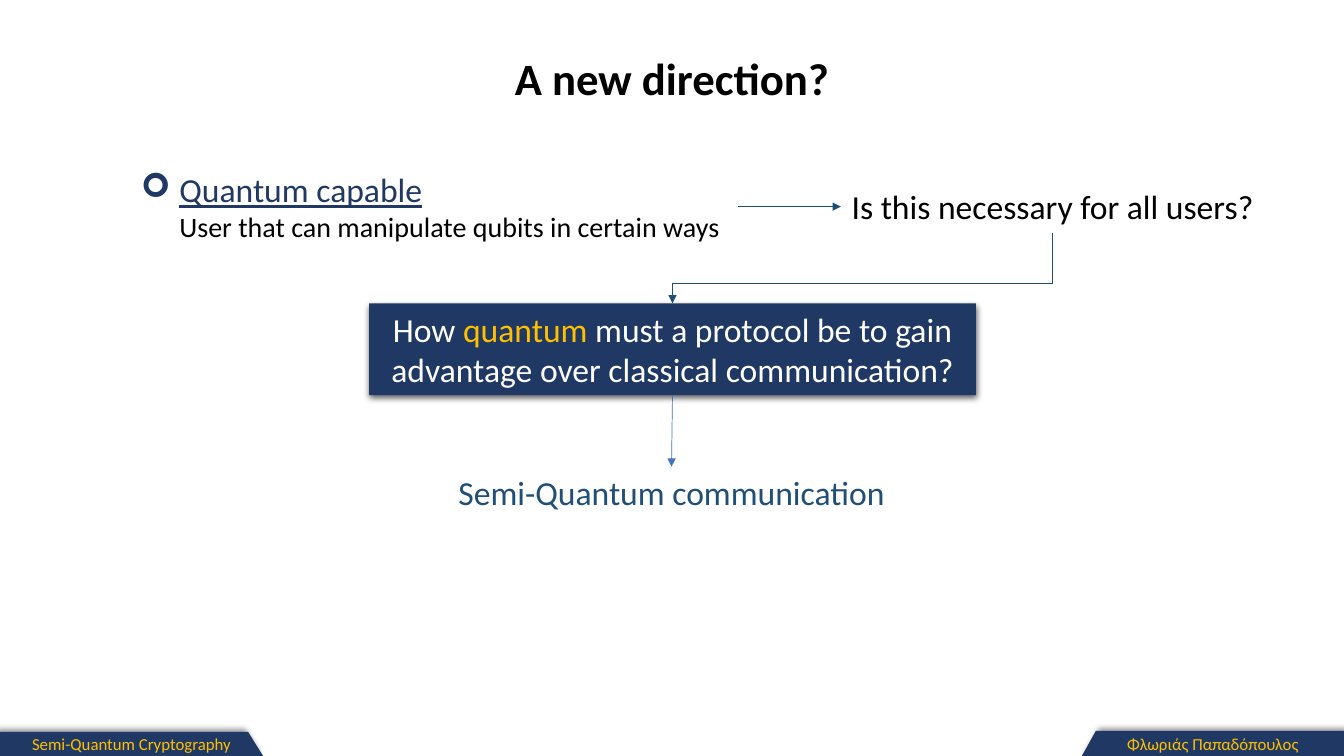
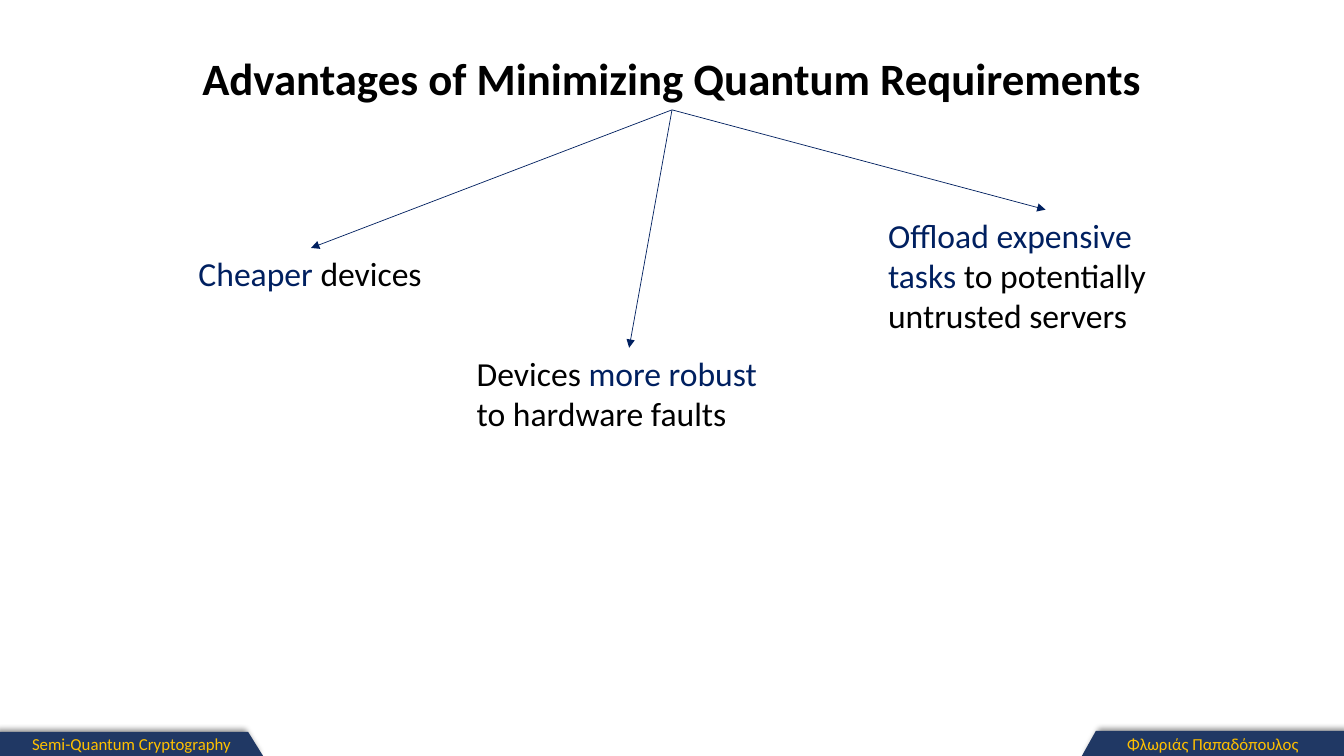
from lxml.etree import SubElement
from pptx import Presentation
from pptx.dml.color import RGBColor
from pptx.enum.shapes import MSO_CONNECTOR as Connector, MSO_SHAPE as Preset
from pptx.enum.text import MSO_ANCHOR as Anchor, PP_ALIGN as Align
from pptx.oxml.ns import qn
from pptx.util import Inches, Pt

# Shared style
WIDTH, HEIGHT = 13.33, 7.5
FONT = "Calibri"
COLORS = {"navy": "203864", "gold": "FFC000", "black": "000000", "white": "FFFFFF",
          "teal": "1F4E79", "blue": "4472C4", "deep": "002060"}
TOP, LEFT, BOTTOM, RIGHT = range(4)
TITLE_TOP, TITLE_HEIGHT = 0.45, 0.64

# Footer tabs: text, outline points, shadow direction in degrees
FOOTERS = [
    ("Φλωριάς Παπαδόπουλος",
     [(WIDTH, 7.25), (10.87, 7.25), (10.73, HEIGHT), (WIDTH, HEIGHT)], 315),
    ("Semi-Quantum Cryptography",
     [(0, 7.26), (2.46, 7.26), (2.61, HEIGHT), (0, HEIGHT)], 225),
]

# Slide content: a run is (text, colour, further font values)
DIRECTION = {
    "title": ("A new direction?", 3.35),
    "capable": ((1.3, 1.63, 6.02, 0.84), [
        [("Quantum capable", "navy", {"underline": True})],
        [("User that can manipulate qubits in certain ways", "black", {"size": Pt(20)})]]),
    "necessary": ((8.34, 1.8, 4.2, 0.5), [[("Is this necessary for all users?", "black")]]),
    "question": ((3.66, 3.01, 6.02, 0.91), [[
        ("How ", "white"), ("quantum", "gold"),
        (" must a protocol be to gain advantage over classical communication?", "white")]]),
    "answer": ((4.4, 4.63, 4.52, 0.5), [[("Semi-Quantum communication", "teal")]]),
}
ADVANTAGES = {
    "title": ("Advantages of Minimizing Quantum Requirements", 9.59),
    "items": [
        ((1.87, 2.46, 2.43, 0.5), [[("Cheaper ", "deep"), ("devices", "black")]]),
        ((8.71, 2.08, 3.32, 1.31), [[("Offload expensive tasks ", "deep"),
                                     ("to potentially untrusted servers", "black")]]),
        ((4.63, 3.45, 3.22, 0.91), [[("Devices ", "black"), ("more robust ", "deep"),
                                     ("to hardware faults", "black")]]),
    ],
}


def color(name):
    return RGBColor.from_string(COLORS[name])


def write(shape, paragraphs, align=Align.LEFT, **font_values):
    frame = shape.text_frame
    frame.word_wrap = True
    for index, runs in enumerate(paragraphs):
        paragraph = frame.add_paragraph() if index else frame.paragraphs[0]
        paragraph.alignment = align
        for text, color_name, *extra in runs:
            run = paragraph.add_run()
            run.text = text
            values = {"name": FONT, "size": Pt(24), **font_values}
            for more in extra:
                values.update(more)
            for name, value in values.items():
                setattr(run.font, name, value)
            run.font.color.rgb = color(color_name)


def add_text(slide, box, paragraphs, align=Align.LEFT, **font_values):
    shape = slide.shapes.add_textbox(*map(Inches, box))
    write(shape, paragraphs, align, **font_values)
    return shape


def paint(shape, fill, alpha, blur, distance, degrees):
    """Give a shape a plain fill, no outline and an outer shadow."""
    shape.fill.solid()
    shape.fill.fore_color.rgb = color(fill)
    shape.line.fill.background()
    shape.shadow.inherit = False
    effects = shape.element.spPr.find(qn("a:effectLst"))
    shadow = SubElement(effects, qn("a:outerShdw"), blurRad=str(Pt(blur)),
                        dist=str(Pt(distance)), dir=str(degrees * 60000), rotWithShape="0")
    shade = SubElement(shadow, qn("a:srgbClr"), val=COLORS["black"])
    SubElement(shade, qn("a:alpha"), val=str(alpha * 1000))


def add_arrow(slide, color_name, kind=Connector.STRAIGHT, ends=(0, 0, 0, 0)):
    arrow = slide.shapes.add_connector(kind, *map(Inches, ends))
    arrow.line.color.rgb = color(color_name)
    arrow.line.width = Pt(0.5)
    SubElement(arrow.line._get_or_add_ln(), qn("a:tailEnd"), type="triangle")
    SubElement(arrow.element.spPr, qn("a:effectLst"))
    return arrow


def join(slide, start, start_side, end, end_side, color_name):
    arrow = add_arrow(slide, color_name)
    arrow.begin_connect(start, start_side)
    arrow.end_connect(end, end_side)


def add_falling_elbow(slide, start, end, bend, color_name):
    """Elbow that leaves downwards: a horizontal one turned by 90 degrees."""
    (x1, y1), (x2, y2) = start, end
    drop, run = y2 - y1, x1 - x2
    left, top = (x1 + x2 - drop) / 2, (y1 + y2 - run) / 2
    arrow = add_arrow(slide, color_name, Connector.ELBOW, (left, top, left + drop, top + run))
    properties = arrow.element.spPr
    properties.find(qn("a:xfrm")).set("rot", str(90 * 60000))
    geometry = properties.find(qn("a:prstGeom"))
    adjustments = geometry.find(qn("a:avLst"))
    if adjustments is None:
        adjustments = SubElement(geometry, qn("a:avLst"))
    SubElement(adjustments, qn("a:gd"), name="adj1", fmla=f"val {round(bend * 100000)}")


def add_base(presentation, title, title_width):
    """Blank slide with footer tabs and a centred title."""
    slide = presentation.slides.add_slide(presentation.slide_layouts[6])
    for text, points, degrees in FOOTERS:
        start, *others = [(Inches(x), Inches(y)) for x, y in points]
        builder = slide.shapes.build_freeform(*start)
        builder.add_line_segments(others, close=True)
        tab = builder.convert_to_shape()
        paint(tab, "navy", 40, 4, 3, degrees)
        write(tab, [[(text, "gold")]], Align.CENTER, size=Pt(12))
        tab.text_frame.vertical_anchor = Anchor.MIDDLE
    box = ((WIDTH - title_width) / 2, TITLE_TOP, title_width, TITLE_HEIGHT)
    heading = add_text(slide, box, [[(title, "black")]], Align.CENTER, size=Pt(32), bold=True)
    heading.text_frame.word_wrap = False
    return slide, heading


def build_direction(presentation):
    slide, _ = add_base(presentation, *DIRECTION["title"])
    capable = add_text(slide, *DIRECTION["capable"])
    necessary = add_text(slide, *DIRECTION["necessary"], Align.CENTER)

    # Arrow bullet, with the second line indented to match
    for paragraph, bullet in zip(capable.text_frame.paragraphs, ("➢", None)):
        properties = paragraph._p.get_or_add_pPr()
        properties.set("marL", str(Inches(0.38)))
        if bullet:
            properties.set("indent", str(Inches(-0.38)))
            SubElement(properties, qn("a:buFont"), typeface="Wingdings")
            SubElement(properties, qn("a:buChar"), char=bullet)

    # Central question
    box, paragraphs = DIRECTION["question"]
    question = slide.shapes.add_shape(Preset.RECTANGLE, *map(Inches, box))
    paint(question, "navy", 63, 4.5, 1.5, 90)
    write(question, paragraphs, Align.CENTER)
    answer = add_text(slide, *DIRECTION["answer"], Align.CENTER)

    # Arrows
    join(slide, capable, RIGHT, necessary, LEFT, "teal")
    left, top, width, _ = box
    add_falling_elbow(slide, (10.44, 2.31), (left + width / 2, top), 0.72, "teal")
    join(slide, question, BOTTOM, answer, TOP, "blue")


def build_advantages(presentation):
    slide, heading = add_base(presentation, *ADVANTAGES["title"])
    for box, paragraphs in ADVANTAGES["items"]:
        item = add_text(slide, box, paragraphs)
        join(slide, heading, BOTTOM, item, TOP, "deep")


def main():
    presentation = Presentation()
    presentation.slide_width, presentation.slide_height = Inches(WIDTH), Inches(HEIGHT)
    build_direction(presentation)
    build_advantages(presentation)
    presentation.save("out.pptx")


if __name__ == "__main__":
    main()
